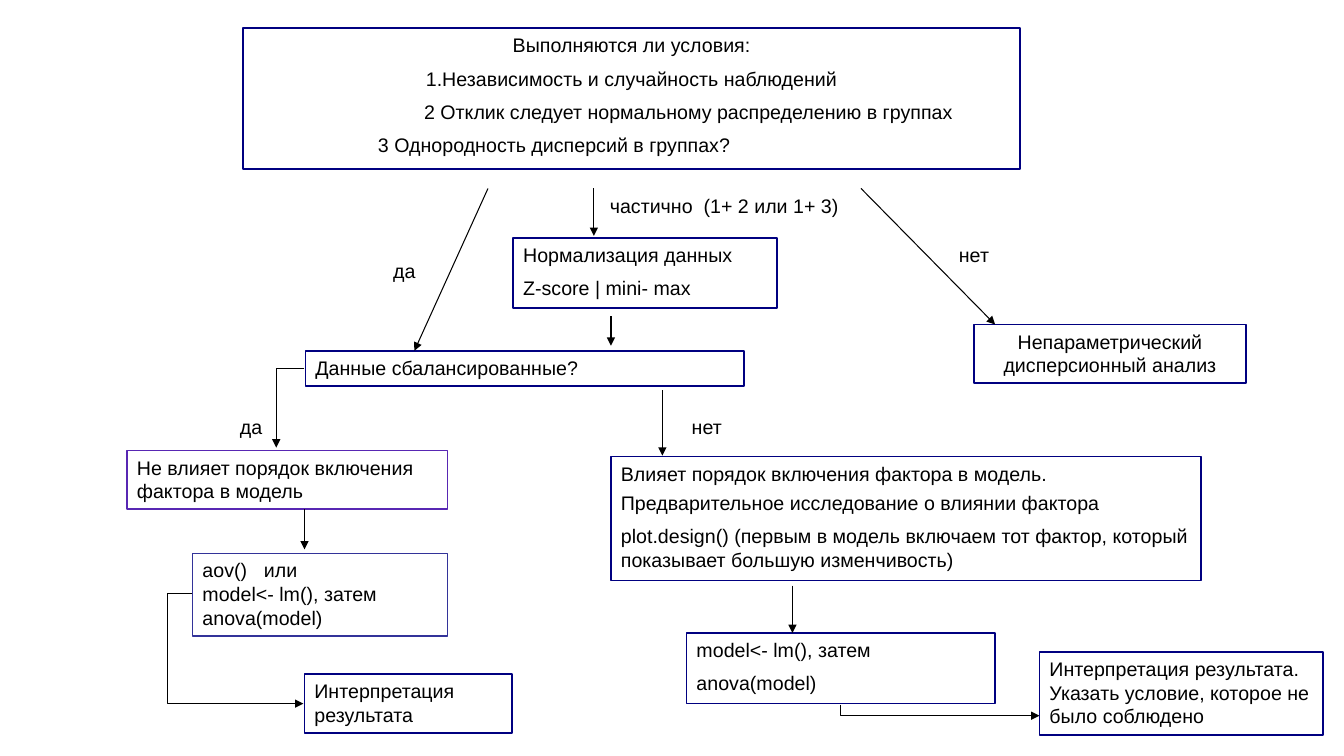
import lxml.etree
import pptx
import pptx.dml.color
import pptx.enum.shapes
import pptx.enum.text
import pptx.oxml.ns
import pptx.util

Inches, Pt = pptx.util.Inches, pptx.util.Pt
qn = pptx.oxml.ns.qn
CONNECTOR = pptx.enum.shapes.MSO_CONNECTOR
ALIGN = pptx.enum.text.PP_ALIGN

THEME = {
    "font": "Arial", "size": 14, "text": "000000", "arrow": "000000",
    "navy": "000080", "violet": "5827B3", "indigo": "333399",
    "box_line": 1.25, "arrow_line": 0.75, "gap": 7,
}
CENTER = {"align": ALIGN.CENTER}

# (left, top, width, height), outline, [(text, paragraph format)]
BOXES = [
    ((2.41, 0.28, 7.71, 1.4), "navy", [
        ("Выполняются ли условия:", CENTER),
        ("1.Независимость и случайность наблюдений", CENTER),
        ("2 Отклик следует нормальному распределению в группах",
         {"align": ALIGN.CENTER, "indent": 1.13}),
        ("3 Однородность дисперсий в группах?", {"indent": 1.24})]),
    ((5.09, 2.36, 2.62, 0.7), "navy", [
        ("Нормализация данных", {}), ("Z-score | mini- max", {})]),
    ((9.66, 3.22, 2.7, 0.58), "navy", [
        ("Непараметрический дисперсионный анализ", CENTER)]),
    ((3.03, 3.48, 4.35, 0.35), "navy", [("Данные сбалансированные?", {})]),
    ((1.26, 4.47, 3.18, 0.58), "violet", [
        ("Не влияет порядок включения фактора в модель", {})]),
    ((6.06, 4.53, 5.85, 1.23), "navy", [
        ("Влияет порядок включения фактора в модель.", {}),
        ("Предварительное исследование о влиянии фактора", {"gap": 4}),
        ("plot.design() (первым в модель включаем тот фактор, который "
         "показывает большую изменчивость)", {})]),
    ((1.91, 5.49, 2.53, 0.82), "indigo", [
        ("aov()\tили", {"tab": 0.61}),
        ("model<- lm(), затем", {"gap": 0}),
        ("anova(model)", {"gap": 0})]),
    ((6.81, 6.28, 3.06, 0.7), "navy", [
        ("model<- lm(), затем", {}), ("anova(model)", {})]),
    ((3.02, 6.69, 2.06, 0.58), "navy", [("Интерпретация результата", {})]),
    ((10.31, 6.47, 2.81, 0.82), "navy", [
        ("Интерпретация результата. Указать условие, которое не было соблюдено", {})]),
]

LABELS = [
    ((3.58, 2.52, 0.86, 0.33), "да", CENTER),
    ((9.22, 2.36, 0.88, 0.33), "нет", CENTER),
    ((5.95, 1.87, 2.59, 0.34), "частично\t(1+ 2 или 1+ 3)", {"tab": 0.93}),
    ((2.23, 4.07, 0.52, 0.33), "да", CENTER),
    ((6.57, 4.07, 0.88, 0.33), "нет", CENTER),
]

STRAIGHT_ARROWS = [
    ((4.84, 1.87), (4.11, 3.48)),
    ((5.89, 1.87), (5.89, 2.34)),
    ((8.54, 1.87), (9.87, 3.22)),
    ((6.06, 3.14), (6.06, 3.43)),
    ((6.57, 3.87), (6.57, 4.52)),
    ((3.02, 5.05), (3.02, 5.45)),
    ((7.86, 5.81), (7.86, 6.28)),
]
BALANCED_ARROW = ((3.02, 3.66), (2.74, 4.44))
AOV_RESULT_ARROW = ((1.9, 5.89), (3.01, 6.98))
AOV_ARROW_BEND = -21800
LM_RESULT_ARROW = ((8.34, 6.99), (10.31, 7.1))


def color(name):
    return pptx.dml.color.RGBColor.from_string(THEME[name])


def set_values(target, values):
    for name, value in values.items():
        setattr(target, name, value)


def write(shape, paragraphs):
    frame = shape.text_frame
    set_values(frame, {
        "word_wrap": True,
        "auto_size": pptx.enum.text.MSO_AUTO_SIZE.NONE,
        "vertical_anchor": pptx.enum.text.MSO_ANCHOR.TOP,
    })
    for index, (text, style) in enumerate(paragraphs):
        paragraph = frame.add_paragraph() if index else frame.paragraphs[0]
        paragraph.text = text
        gap = style.get("gap", THEME["gap"]) if index else 0
        set_values(paragraph, {
            "alignment": style.get("align", ALIGN.LEFT),
            "space_before": Pt(gap),
        })
        properties = paragraph._p.get_or_add_pPr()
        if "indent" in style:
            properties.set("marL", str(Inches(style["indent"])))
        if "tab" in style:
            tabs = lxml.etree.SubElement(properties, qn("a:tabLst"))
            lxml.etree.SubElement(tabs, qn("a:tab"), pos=str(Inches(style["tab"])), algn="l")
        set_values(paragraph.font, {"name": THEME["font"], "size": Pt(THEME["size"])})
        paragraph.font.color.rgb = color("text")


def add_box(slide, place, outline, paragraphs):
    shape = slide.shapes.add_shape(
        pptx.enum.shapes.MSO_SHAPE.RECTANGLE, *map(Inches, place))
    shape.shadow.inherit = False
    shape.fill.background()
    shape.line.color.rgb = color(outline)
    shape.line.width = Pt(THEME["box_line"])
    write(shape, paragraphs)


def add_arrow(slide, start, end, kind=CONNECTOR.STRAIGHT):
    connector = slide.shapes.add_connector(kind, *map(Inches, start + end))
    connector.line.color.rgb = color("arrow")
    connector.line.width = Pt(THEME["arrow_line"])
    lxml.etree.SubElement(connector.line._get_or_add_ln(), qn("a:tailEnd"), type="triangle")
    lxml.etree.SubElement(connector._element.spPr, qn("a:effectLst"))
    return connector


def add_elbow(slide, start, end, preset, bend=None, turn=0):
    """Bend an arrow; bend is the first leg in 1/1000 percent, turn is in degrees."""
    connector = add_arrow(slide, start, end, CONNECTOR.ELBOW)
    properties = connector._element.spPr
    geometry = properties.find(qn("a:prstGeom"))
    geometry.set("prst", preset)
    if bend is not None:
        guides = geometry.find(qn("a:avLst"))
        lxml.etree.SubElement(guides, qn("a:gd"), name="adj1", fmla=f"val {bend}")
    if turn:
        properties.find(qn("a:xfrm")).set("rot", str(turn * 60000))


def add_down_then_right(slide, start, end):
    """Lay out the corner upright around the same centre, then turn it."""
    center_x, center_y = (start[0] + end[0]) / 2, (start[1] + end[1]) / 2
    half_width, half_height = (end[1] - start[1]) / 2, (end[0] - start[0]) / 2
    add_elbow(slide, (center_x + half_width, center_y - half_height),
              (center_x - half_width, center_y + half_height), "bentConnector2", turn=270)


def main():
    presentation = pptx.Presentation()
    set_values(presentation, {"slide_width": Inches(13.33), "slide_height": Inches(7.5)})
    slide = presentation.slides.add_slide(presentation.slide_layouts[6])
    for box in BOXES:
        add_box(slide, *box)
    for place, text, style in LABELS:
        write(slide.shapes.add_textbox(*map(Inches, place)), [(text, style)])
    for arrow in STRAIGHT_ARROWS:
        add_arrow(slide, *arrow)
    add_elbow(slide, *BALANCED_ARROW, "bentConnector2")
    add_elbow(slide, *AOV_RESULT_ARROW, "bentConnector3", bend=AOV_ARROW_BEND)
    add_down_then_right(slide, *LM_RESULT_ARROW)
    presentation.save("out.pptx")


if __name__ == "__main__":
    main()
